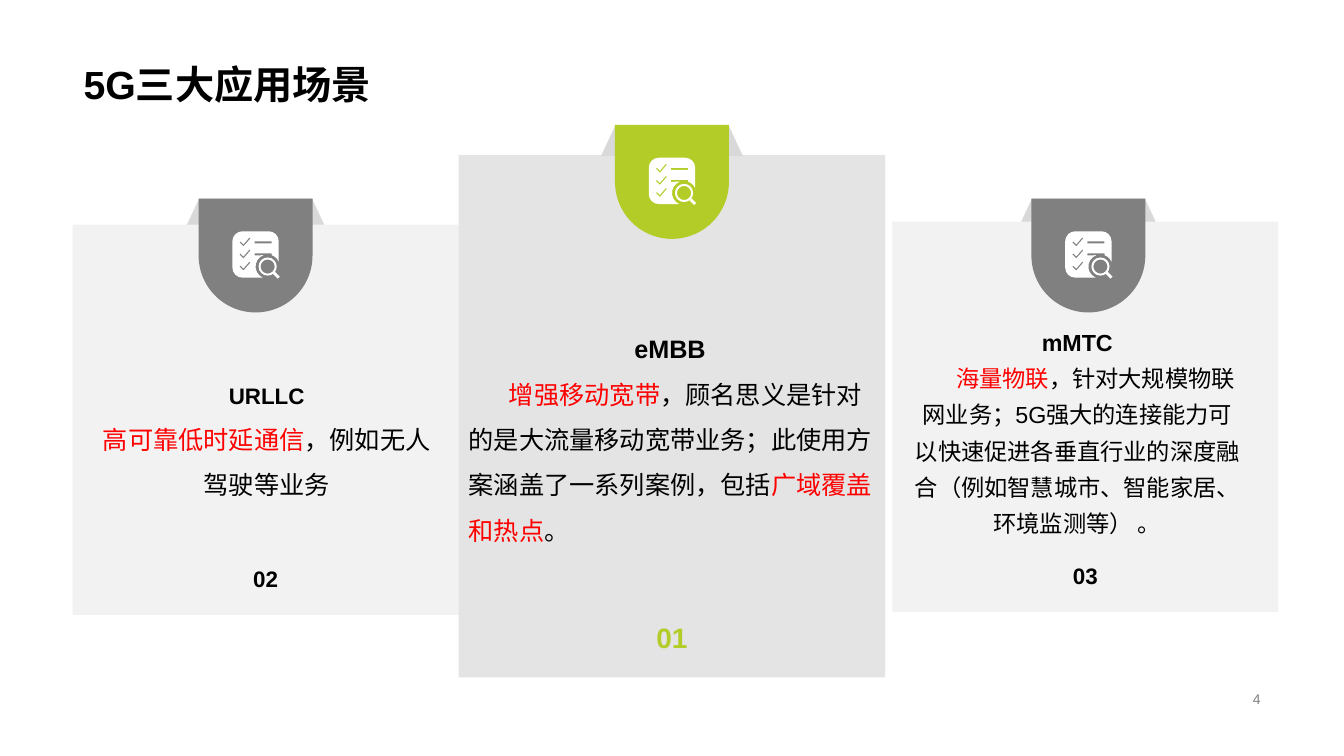
from math import cos, radians, sin

from pptx import Presentation
from pptx.dml.color import RGBColor
from pptx.enum import shapes, text
from pptx.oxml.ns import qn
from pptx.util import Inches, Pt
from lxml import etree

COLORS = {
    "black": "000000", "white": "FFFFFF", "red": "FF0000", "lime": "B4CC27",
    "grey": "808080", "fold": "D9D9D9", "pale": "F2F2F2",
}
FONT = "Arial"
BADGE = 1.13
FOLD_WIDTH = 1.41
FOLD_HEIGHT = 0.31
ICON = 0.46
CORNER = 0.1
LENS = (0.35, 0.35)
SHAPE = shapes.MSO_SHAPE
ALIGN = text.PP_ALIGN
ANCHOR = text.MSO_ANCHOR


def rgb(name):
    return RGBColor.from_string(COLORS[name])


def add_run(paragraph, words, size, color="black", bold=False):
    run = paragraph.add_run()
    run.text = words
    run.font.name = FONT
    run.font.size = Pt(size)
    run.font.bold = bold
    run.font.color.rgb = rgb(color)


def paint(shape, fill):
    shape.shadow.inherit = False
    shape.fill.solid()
    shape.fill.fore_color.rgb = rgb(fill)
    shape.line.fill.background()


def add_block(slide, kind, box, fill):
    shape = slide.shapes.add_shape(kind, *[Inches(value) for value in box])
    paint(shape, fill)
    return shape


def arc(center, radius, start, end, steps):
    angles = [radians(start + (end - start) * step / steps) for step in range(steps + 1)]
    return [(center[0] + radius * cos(angle), center[1] + radius * sin(angle)) for angle in angles]


def checklist_contours():
    far = ICON - CORNER
    sheet = (
        arc((CORNER, CORNER), CORNER, 180, 270, 4)
        + arc((far, CORNER), CORNER, 270, 360, 4)
        + arc(LENS, 0.12, -24, -70, 3)
        + [(0.39, 0.22), (0.22, 0.22), (0.22, 0.24)]
        + arc(LENS, 0.12, -110, -246, 7)
        + arc((CORNER, far), CORNER, 90, 180, 4)
    )
    line = [(0.22, 0.1), (0.39, 0.1), (0.39, 0.12), (0.22, 0.12)]
    ticks = [
        [(x, y + 0.12 * row) for x, y in
         [(0.07, 0.11), (0.08, 0.1), (0.11, 0.13), (0.17, 0.06), (0.18, 0.07), (0.11, 0.15)]]
        for row in range(3)
    ]
    rings = [arc(LENS, radius, 0, 360, 16) for radius in (0.09, 0.07)]
    handle = [(0.42, 0.4), (0.47, 0.45), (0.45, 0.47), (0.4, 0.42)]
    return [sheet, line, *ticks, *rings, handle]


def add_checklist_icon(slide, left, top):
    builder = None
    for contour in checklist_contours():
        points = [(Inches(left + x), Inches(top + y)) for x, y in contour]
        if builder is None:
            builder = slide.shapes.build_freeform(*points[0])
        else:
            builder.move_to(*points[0])
        builder.add_line_segments(points[1:], close=True)
    paint(builder.convert_to_shape(), "white")


def add_fold(slide, card):
    left, top = card["badge"]
    box = (left - (FOLD_WIDTH - BADGE) / 2, top, FOLD_WIDTH, FOLD_HEIGHT)
    fold = add_block(slide, SHAPE.TRAPEZOID, box, "fold")
    fold.adjustments[0] = 0.47


def add_panel(slide, card):
    panel = add_block(slide, SHAPE.RECTANGLE, card["panel"], card["fill"])
    if card.get("alpha"):
        color = panel.fill._xPr.find(".//" + qn("a:srgbClr"))
        etree.SubElement(color, qn("a:alpha")).set("val", str(card["alpha"] * 1000))
    frame = panel.text_frame
    frame.word_wrap = False
    frame.vertical_anchor = ANCHOR.BOTTOM
    frame.margin_bottom = Inches(0.23)
    paragraph = frame.paragraphs[0]
    paragraph.alignment = ALIGN.CENTER
    add_run(paragraph, card["number"], card["number_size"], card["number_color"], True)


def add_badge(slide, card):
    left, top = card["badge"]
    badge = add_block(
        slide, SHAPE.ROUND_2_SAME_RECTANGLE, (left, top, BADGE, BADGE), card["color"])
    badge.adjustments[0] = 0
    badge.adjustments[1] = 0.5
    inset = (BADGE - ICON) / 2
    add_checklist_icon(slide, left + inset, top + inset - 0.01)


def add_description(slide, card):
    box = slide.shapes.add_textbox(*[Inches(value) for value in card["text_box"]])
    frame = box.text_frame
    frame.word_wrap = True
    frame.vertical_anchor = ANCHOR.MIDDLE
    heading = frame.paragraphs[0]
    heading.alignment = ALIGN.CENTER
    heading.line_spacing = card["spacing"]
    add_run(heading, card["heading"], card["heading_size"], bold=True)
    body = frame.add_paragraph()
    body.alignment = card["align"]
    body.line_spacing = card["spacing"]
    body._p.get_or_add_pPr().set("indent", str(Inches(card["indent"])))
    for words, color in card["body"]:
        add_run(body, words, card["body_size"], color)


def add_title(slide, box):
    title = slide.shapes.title
    title.left, title.top, title.width, title.height = [Inches(value) for value in box]
    title.text_frame.vertical_anchor = ANCHOR.BOTTOM
    paragraph = title.text_frame.paragraphs[0]
    paragraph.alignment = ALIGN.LEFT
    paragraph.line_spacing = 0.9
    add_run(paragraph, "5G三大应用场景", 28, bold=True)


def add_page_number(slide, box):
    frame = slide.shapes.add_textbox(*[Inches(value) for value in box]).text_frame
    frame.word_wrap = True
    frame.vertical_anchor = ANCHOR.MIDDLE
    paragraph = frame.paragraphs[0]
    paragraph.alignment = ALIGN.RIGHT
    add_run(paragraph, "4", 10, "grey")


CARDS = [
    dict(panel=(8.85, 2.2, 3.83, 3.87), fill="pale", badge=(10.23, 1.97), color="grey",
         number="03", number_size=16, number_color="black",
         text_box=(8.95, 3.09, 3.47, 2.32), spacing=1.3, align=ALIGN.CENTER, indent=0.36,
         heading="mMTC", heading_size=16.6, body_size=16.6,
         body=[("海量物联", "red"),
               ("，针对大规模物联网业务；5G强大的连接能力可以快速促进各垂直行业的深度融合"
                "（例如智慧城市、智能家居、环境监测等） 。", "black")]),
    dict(panel=(0.72, 2.23, 3.83, 3.87), fill="pale", badge=(1.97, 1.97), color="grey",
         number="02", number_size=16, number_color="black",
         text_box=(0.91, 3.2, 3.47, 2.21), spacing=1.5, align=ALIGN.CENTER, indent=0,
         heading="URLLC", heading_size=16, body_size=18,
         body=[("高可靠低时延通信", "red"), ("，例如无人驾驶等业务", "black")]),
    dict(panel=(4.55, 1.54, 4.23, 5.18), fill="fold", alpha=70, badge=(6.1, 1.24), color="lime",
         number="01", number_size=20, number_color="lime",
         text_box=(4.55, 2.47, 4.26, 3.63), spacing=1.5, align=ALIGN.LEFT, indent=0.4,
         heading="eMBB ", heading_size=18, body_size=18,
         body=[("增强移动宽带", "red"),
               ("，顾名思义是针对的是大流量移动宽带业务；此使用方案涵盖了一系列案例，包括", "black"),
               ("广域覆盖和热点", "red"), ("。", "black")]),
]


def main():
    presentation = Presentation()
    presentation.slide_width = Inches(13.33)
    presentation.slide_height = Inches(7.5)
    slide = presentation.slides.add_slide(presentation.slide_layouts[5])
    add_title(slide, (0.73, 0, 11.87, 1.12))
    add_page_number(slide, (9.42, 6.82, 3.18, 0.23))
    for add_layer in (add_fold, add_panel, add_badge, add_description):
        for card in CARDS:
            add_layer(slide, card)
    presentation.save("out.pptx")


if __name__ == "__main__":
    main()
